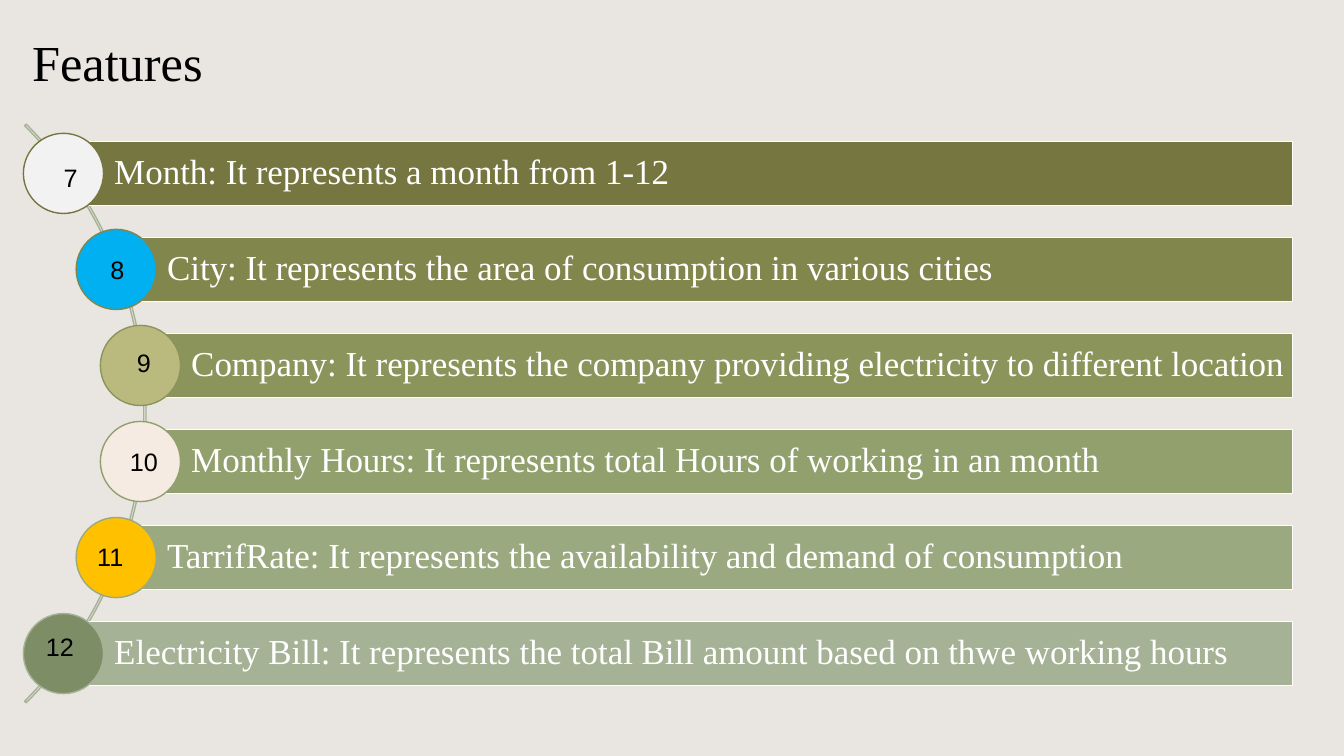
from pptx import Presentation
from pptx.dml.color import RGBColor
from pptx.enum.shapes import MSO_SHAPE
from pptx.enum.text import MSO_ANCHOR, PP_ALIGN
from pptx.util import Cm, Pt

SERIF, SANS = "Times New Roman", "Arial"
PITCH, BAR, DISC = 2.42, 1.62, 2.02
ARC = 20.62

# text, bar colour, disc colour, indent, number, number shift x, shift y, width
ROWS = [
    ("Month: It represents a month from 1-12",
     "767640", "F2F2F2", 0, "7", 0.29, 0.1, 1.07),
    ("City: It represents the area of consumption in various cities",
     "81864D", "00B0F0", 1.33, "8", 0.09, 0, 0.97),
    ("Company: It represents the company providing electricity to different location",
     "8B955B", "BABA7F", 1.94, "9", 0.04, -0.07, 0.76),
    ("Monthly Hours: It represents total Hours of working in an month",
     "92A06D", "F5EBE2", 1.94, "10", 0.27, 0, 1.57),
    ("TarrifRate: It represents the availability and demand of consumption",
     "9BA981", "FFC000", 1.33, "11", -0.03, -0.03, 1.4),
    ("Electricity Bill: It represents the total Bill amount based on thwe working hours",
     "A5B295", "7D8E67", 0, "12", -0.06, -0.19, 1.27),
]


def color(code):
    return RGBColor.from_string(code)


def add_shape(slide, kind, box, fill, line):
    shape = slide.shapes.add_shape(kind, *map(Cm, box))
    shape.shadow.inherit = False
    if fill:
        shape.fill.solid()
        shape.fill.fore_color.rgb = color(fill)
    else:
        shape.fill.background()
    shape.line.color.rgb = color(line)
    shape.line.width = Pt(1)
    return shape


def write(shape, text, size, face, ink):
    frame = shape.text_frame
    frame.word_wrap = True
    frame.vertical_anchor = MSO_ANCHOR.MIDDLE
    para = frame.paragraphs[0]
    para.text = text
    para.alignment = PP_ALIGN.LEFT
    para.font.size = Pt(size)
    para.font.name = face
    para.font.color.rgb = color(ink)
    return frame


def add_text(slide, box, text, size, face):
    write(slide.shapes.add_textbox(*map(Cm, box)), text, size, face, "000000")


def add_row(slide, left, mid, right, row):
    """Draw a bar that starts at the centre of its numbered disc."""
    text, tone, fill, indent, *_ = row
    left += indent
    bar = add_shape(slide, MSO_SHAPE.RECTANGLE,
                    (left, mid - BAR / 2, right - left, BAR), tone, "FFFFFF")
    frame = write(bar, text, 25, SERIF, "FFFFFF")
    frame.margin_left, frame.margin_right = Cm(1.28), Cm(0.1)
    frame.paragraphs[0].line_spacing = 0.9
    add_shape(slide, MSO_SHAPE.OVAL,
              (left - DISC / 2, mid - DISC / 2, DISC, DISC), fill, tone)


def add_number(slide, left, mid, row):
    indent, number, dx, dy, width = row[3:]
    add_text(slide, (left + indent + dx - width / 2, mid + dy - 0.51, width, 1.02),
             number, 18, SANS)


def add_list(slide, left, top, right):
    """Lay out the arc, the bars and their numbers from the first bar's corner."""
    mids = [top + BAR / 2 + i * PITCH for i in range(len(ROWS))]
    center = (mids[0] + mids[-1]) / 2
    arc = add_shape(slide, MSO_SHAPE.BLOCK_ARC,
                    (left - 18.54, center - ARC / 2, ARC, ARC), None, "A5B295")
    for i, value in enumerate((189, 27, 0.0027)):
        arc.adjustments[i] = value
    for mid, row in zip(mids, ROWS):
        add_row(slide, left, mid, right, row)
    for mid, row in zip(mids, ROWS):
        add_number(slide, left, mid, row)


def main():
    deck = Presentation()
    deck.slide_width, deck.slide_height = Cm(33.87), Cm(19.05)
    slide = deck.slides.add_slide(deck.slide_layouts[6])
    slide.background.fill.solid()
    slide.background.fill.fore_color.rgb = color("E9E5E1")
    add_text(slide, (0.56, 0.3, 30.96, 2.5), "Features", 36, SERIF)
    add_list(slide, 1.6, 3.56, 32.58)
    deck.save("out.pptx")


if __name__ == "__main__":
    main()
